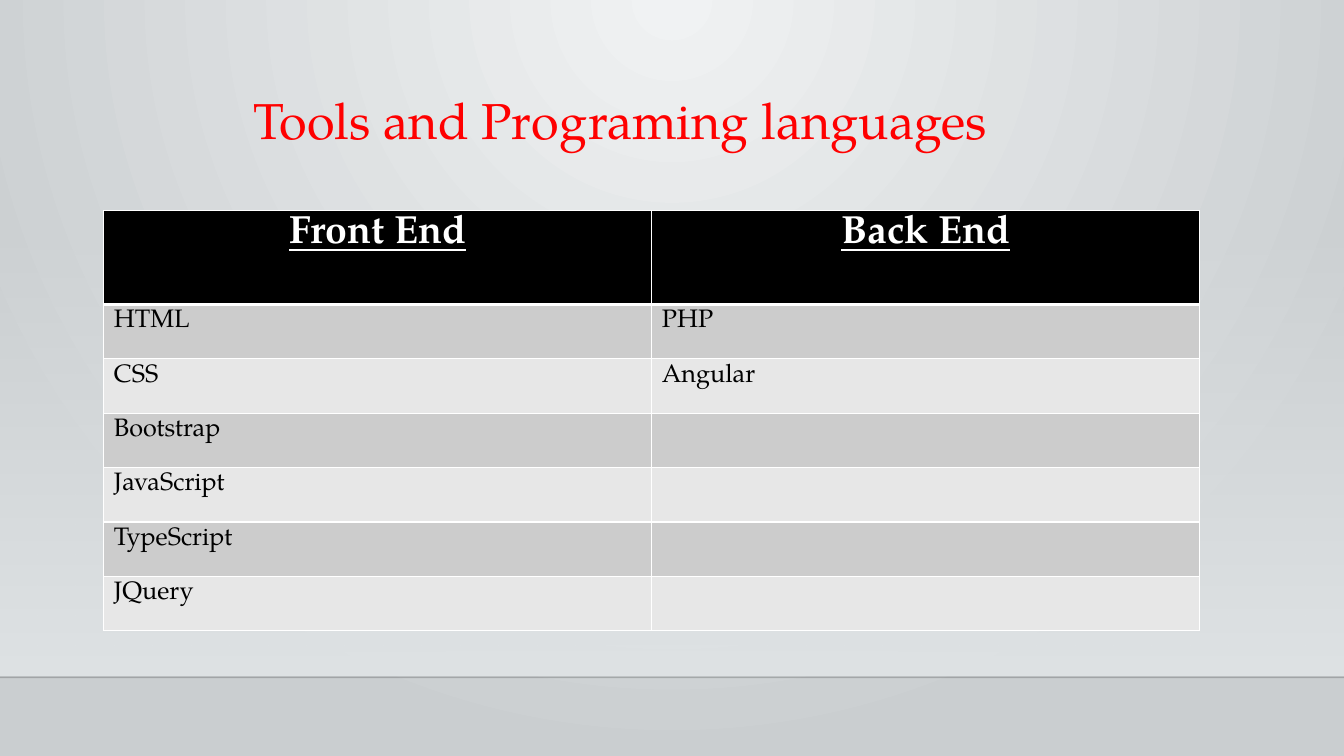
from lxml.etree import SubElement
from pptx import Presentation
from pptx.dml.color import RGBColor
from pptx.enum.shapes import MSO_CONNECTOR, MSO_SHAPE
from pptx.enum.text import MSO_ANCHOR, PP_ALIGN
from pptx.oxml import parse_xml
from pptx.oxml.ns import nsdecls, qn
from pptx.util import Inches, Pt

FONT = "TeX Gyre Pagella"
RED = RGBColor(0xFF, 0x00, 0x00)
BLACK = RGBColor(0x00, 0x00, 0x00)
WHITE = RGBColor(0xFF, 0xFF, 0xFF)
BAND_DARK = RGBColor(0xCC, 0xCC, 0xCC)
BAND_LIGHT = RGBColor(0xE7, 0xE7, 0xE7)
GLOW = RGBColor(0xF0, 0xF2, 0xF3)
EDGE = RGBColor(0xCA, 0xCE, 0xD0)
HAZE = RGBColor(0xDF, 0xE3, 0xE5)
FLOOR_LINE = RGBColor(0x00, 0x00, 0x01)

SLIDE_WIDTH, SLIDE_HEIGHT = 13.33, 7.5
HEADINGS = ("Front End", "Back End")
TOOLS = (
    ("HTML", "PHP"),
    ("CSS", "Angular"),
    ("Bootstrap", ""),
    ("JavaScript", ""),
    ("TypeScript", ""),
    ("JQuery", ""),
)


def set_alpha(color_element, percent):
    """Give a colour element an opacity in percent."""
    SubElement(color_element, qn("a:alpha")).set("val", str(percent * 1000))


def set_gradient(fill, start, end):
    """Apply a two-stop gradient."""
    fill.gradient()
    for stop, color in zip(fill.gradient_stops, (start, end)):
        stop.color.rgb = color


def add_backdrop(slide, left, top, width, height):
    """Draw the glowing background, the haze band and the floor line."""
    set_gradient(slide.background.fill, GLOW, EDGE)
    glow = slide.element.find(".//" + qn("p:bgPr")).find(qn("a:gradFill"))
    glow.replace(glow.find(qn("a:lin")), parse_xml(
        f'<a:path {nsdecls("a")} path="circle">'
        '<a:fillToRect l="43000" t="0" r="43000" b="100000"/></a:path>'))

    haze = slide.shapes.add_shape(
        MSO_SHAPE.RECTANGLE, Inches(left), Inches(top), Inches(width), Inches(height))
    haze.shadow.inherit = False
    haze.line.fill.background()
    set_gradient(haze.fill, HAZE, HAZE)
    haze.fill.gradient_angle = 270
    haze_colors = haze.element.spPr.iter(qn("a:srgbClr"))
    for color, percent in zip(list(haze_colors), (0, 100)):
        set_alpha(color, percent)

    floor_y = Inches(top + height + 0.02)
    floor = slide.shapes.add_connector(
        MSO_CONNECTOR.STRAIGHT, Inches(left), floor_y, Inches(left + width), floor_y)
    floor.line.color.rgb = FLOOR_LINE
    floor.line.width = Pt(1)
    set_alpha(floor.element.spPr.find(".//" + qn("a:srgbClr")), 20)
    SubElement(floor.element.spPr, qn("a:effectLst"))


def add_title(slide, left, top, width, height):
    """Write the slide title at the bottom of its box."""
    frame = slide.shapes.add_textbox(
        Inches(left), Inches(top), Inches(width), Inches(height)).text_frame
    frame.word_wrap = True
    frame.vertical_anchor = MSO_ANCHOR.BOTTOM
    title = frame.paragraphs[0]
    title.text = "Tools and Programing languages"
    title.line_spacing = 0.9
    title.font.size = Pt(36)
    title.font.name = FONT
    title.font.color.rgb = RED


def set_borders(cell, top, bottom):
    """Give a cell white borders with the given top and bottom widths."""
    properties = cell._tc.get_or_add_tcPr()
    sides = (("lnL", 1), ("lnR", 1), ("lnT", top), ("lnB", bottom))
    for position, (side, points) in enumerate(sides):
        properties.insert(position, parse_xml(
            f'<a:{side} {nsdecls("a")} w="{Pt(points)}"><a:solidFill>'
            f'<a:srgbClr val="{WHITE}"/></a:solidFill></a:{side}>'))


def add_tools_table(slide, left, top, width, header_height, row_height):
    """Fill the table of tools under its two headings."""
    content = (HEADINGS, *TOOLS)
    height = header_height + row_height * len(TOOLS)
    table = slide.shapes.add_table(
        len(content), len(HEADINGS),
        Inches(left), Inches(top), Inches(width), Inches(height)).table
    for row_index, entries in enumerate(content):
        is_header = row_index == 0
        table.rows[row_index].height = Inches(header_height if is_header else row_height)
        band = BAND_DARK if row_index % 2 else BAND_LIGHT
        for column_index, entry in enumerate(entries):
            cell = table.cell(row_index, column_index)
            cell.fill.solid()
            cell.fill.fore_color.rgb = BLACK if is_header else band
            set_borders(cell, 3 if row_index == 1 else 1, 3 if is_header else 1)
            cell.text = entry
            label = cell.text_frame.paragraphs[0]
            label.alignment = PP_ALIGN.CENTER if is_header else PP_ALIGN.LEFT
            label.font.name = FONT
            label.font.size = Pt(28 if is_header else 18)
            label.font.bold = label.font.underline = is_header
            label.font.color.rgb = WHITE if is_header else BLACK


def main():
    """Build and save the slide."""
    deck = Presentation()
    deck.slide_width = Inches(SLIDE_WIDTH)
    deck.slide_height = Inches(SLIDE_HEIGHT)
    slide = deck.slides.add_slide(deck.slide_layouts[6])
    add_backdrop(slide, 0, 2.2, SLIDE_WIDTH, 4.5)
    add_title(slide, 2.42, 0.29, 8.09, 1.25)
    add_tools_table(slide, 1.03, 2.09, 10.87, 0.93, 0.54)
    deck.save("out.pptx")


if __name__ == "__main__":
    main()
